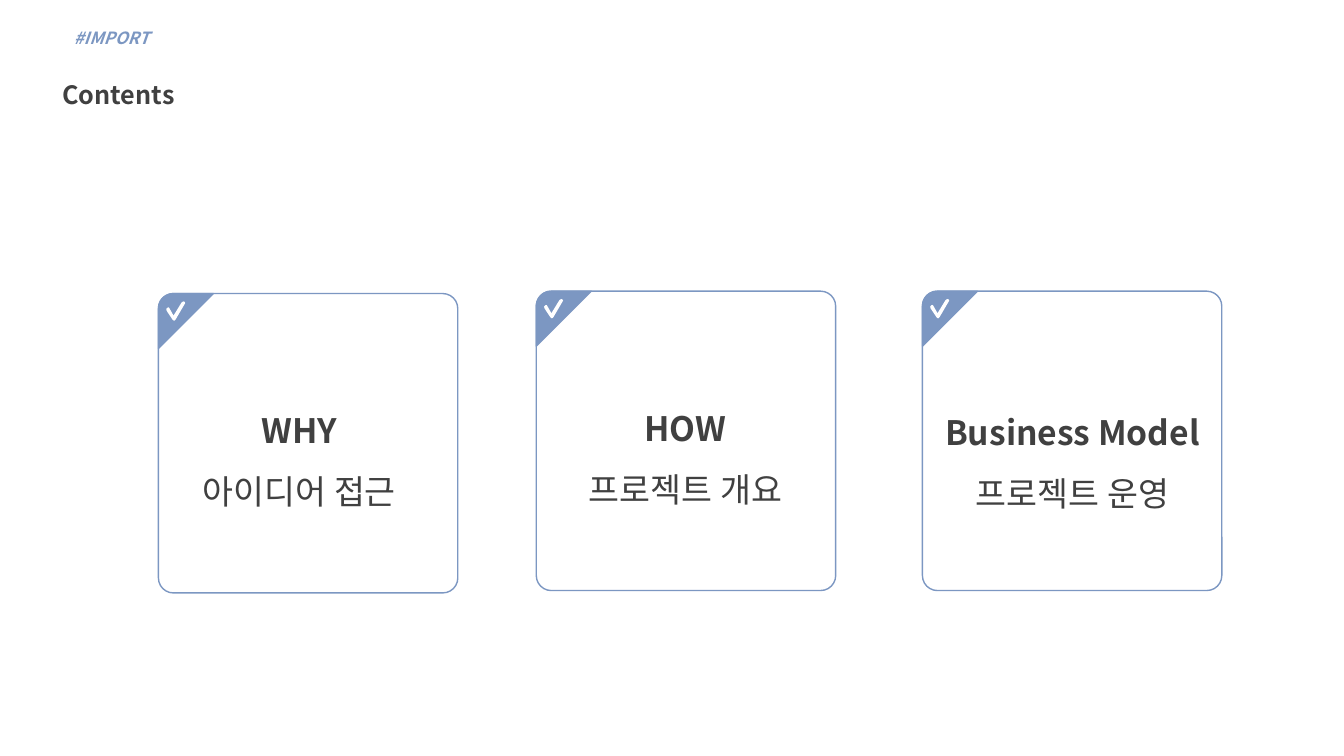
from math import cos, pi, sin

from lxml import etree
from pptx import Presentation
from pptx.dml.color import RGBColor
from pptx.enum.shapes import MSO_SHAPE
from pptx.enum.text import MSO_ANCHOR, MSO_AUTO_SIZE, PP_ALIGN
from pptx.oxml.ns import qn
from pptx.util import Pt

ROUNDED = MSO_SHAPE.ROUNDED_RECTANGLE
TOP = MSO_ANCHOR.TOP
GROW = MSO_AUTO_SIZE.SHAPE_TO_FIT_TEXT
LEFT, CENTER = PP_ALIGN.LEFT, PP_ALIGN.CENTER

BLUE = RGBColor(0x7C, 0x97, 0xC2)
DARK = RGBColor(0x40, 0x40, 0x40)
WHITE = RGBColor(0xFF, 0xFF, 0xFF)
FONT = "Noto Sans CJK KR"

CARD_SIDE = 213.84
CARD_RADIUS = 10.69
CORNER_SIDE = 39.2
ARC_STEPS = 12
CHECK_MARK = [
    (17.3, 5.9), (18, 5.6), (18.8, 6), (19.1, 6.7), (18.8, 7.4),
    (12.2, 18.7), (11.2, 19.5), (10.1, 18.7), (5.8, 12.2), (5.6, 11),
    (6.4, 10.1), (7.4, 9.9), (8, 10.8), (10.8, 15.8), (16.5, 6.5),
]
CARDS = [
    (113.2, 209.7, 100.8, 275.2, 94.3, "WHY", "아이디어 접근"),
    (383.1, 208, 376.6, 273.7, 88.6, "HOW", "프로젝트 개요"),
    (658.9, 208, 653, 276.6, 88.6, "Business Model", "프로젝트 운영"),
]


class SlideBuilder:
    """Holds the text style and the current slide."""

    def __init__(self, slide):
        """Keep the slide that receives the elements."""
        self.slide = slide

    def place(self, shape, left, top, width, height):
        """Move and size a shape in points."""
        shape.left, shape.top = Pt(left), Pt(top)
        shape.width, shape.height = Pt(width), Pt(height)

    def fill_text(self, shape, lines, alignment=CENTER, spacing=1.5):
        """Fill a shape with one paragraph per (text, format) pair."""
        frame = shape.text_frame
        frame.word_wrap = True
        frame.auto_size = GROW
        frame.vertical_anchor = TOP
        for index, (text, format_values) in enumerate(lines):
            paragraph = frame.add_paragraph() if index else frame.paragraphs[0]
            paragraph.alignment = alignment
            paragraph.line_spacing = spacing
            run = paragraph.add_run()
            run.text = text
            run.font.color.rgb = DARK
            for name, value in {"name": FONT, **format_values}.items():
                if name == "color":
                    run.font.color.rgb = value
                else:
                    setattr(run.font, name, value)
            east_asian = etree.SubElement(run.font._element, qn("a:ea"))
            east_asian.set("typeface", FONT)

    def title(self, box, text):
        """Place and format the slide title."""
        shape = self.slide.shapes.title
        self.place(shape, *box)
        self.fill_text(shape, [(text, {"size": Pt(18), "bold": True})])

    def text(self, box, lines, **paragraph_values):
        """Add a text box."""
        shape = self.slide.shapes.add_textbox(*map(Pt, box))
        self.fill_text(shape, lines, **paragraph_values)

    def paint(self, shape, fill, line=None):
        """Set a flat fill and an optional thin outline."""
        shape.shadow.inherit = False
        shape.fill.solid()
        shape.fill.fore_color.rgb = fill
        if line is None:
            shape.line.fill.background()
        else:
            shape.line.color.rgb = line
            shape.line.width = Pt(1)

    def outline(self, group, left, top, points, fill, line=None):
        """Add a closed outline given relative to a card's corner."""
        start, *rest = [(Pt(left + x), Pt(top + y)) for x, y in points]
        builder = group.shapes.build_freeform(*start)
        builder.add_line_segments(rest, close=True)
        self.paint(builder.convert_to_shape(), fill, line)

    def card(self, left, top):
        """Add a rounded card with a checked corner."""
        group = self.slide.shapes.add_group_shape()
        frame = group.shapes.add_shape(
            ROUNDED, Pt(left), Pt(top), Pt(CARD_SIDE), Pt(CARD_SIDE))
        frame.adjustments[0] = CARD_RADIUS / CARD_SIDE
        self.paint(frame, WHITE, BLUE)
        angles = [step * pi / 2 / ARC_STEPS for step in range(ARC_STEPS + 1)]
        arc = [(CARD_RADIUS * (1 - cos(angle)), CARD_RADIUS * (1 - sin(angle)))
               for angle in angles]
        corner = [(CORNER_SIDE, 0), (0, CORNER_SIDE), *arc]
        self.outline(group, left, top, corner, BLUE, BLUE)
        self.outline(group, left, top, CHECK_MARK, WHITE)


def main():
    """Build the contents slide and save it."""
    presentation = Presentation()
    presentation.slide_width, presentation.slide_height = Pt(960), Pt(540)
    slide = presentation.slides.add_slide(presentation.slide_layouts[5])
    builder = SlideBuilder(slide)
    tag_format = {"size": Pt(12), "bold": True, "italic": True, "color": BLUE}
    builder.text((45.7, 16.6, 69.1, 21.6), [("#IMPORT", tag_format)],
                 alignment=LEFT, spacing=1.0)
    builder.title((0, 42.5, 169.2, 36), "Contents")
    for left, top, text_left, text_top, height, heading, caption in CARDS:
        builder.card(left, top)
        builder.text((text_left, text_top, 226.1, height), [
            (heading, {"size": Pt(24), "bold": True}),
            (caption, {"size": Pt(24), "bold": False}),
        ])
    presentation.save("out.pptx")


if __name__ == "__main__":
    main()
